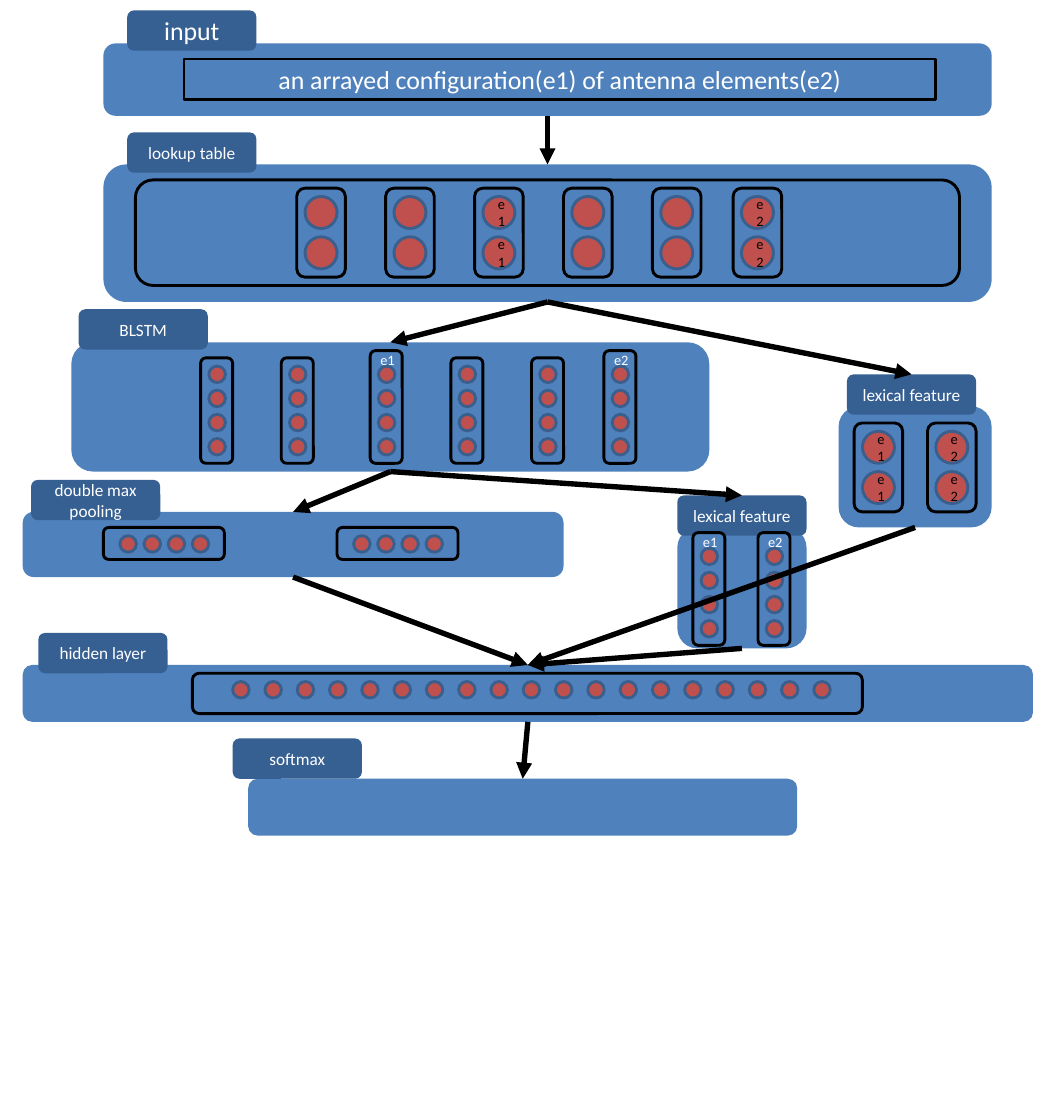
"""Build a slide showing a neural relation classifier from input to softmax."""
from dataclasses import dataclass
from typing import NamedTuple

from lxml.etree import SubElement
from pptx import Presentation
from pptx.dml.color import RGBColor
from pptx.enum.shapes import MSO_CONNECTOR, MSO_SHAPE
from pptx.enum.text import MSO_ANCHOR, MSO_AUTO_SIZE, PP_ALIGN
from pptx.oxml.ns import qn
from pptx.shapes.autoshape import Shape
from pptx.slide import Slide
from pptx.util import Inches, Pt

PANEL_BLUE, TAB_BLUE, DOT_RED, DOT_EDGE = "4F81BD", "376092", "C0504D", "3A5F8C"
BLACK, WHITE = "000000", "FFFFFF"
TAB_WIDTH, TAB_HEIGHT = 1.25, 0.39
BIG_DOT, SMALL_DOT = 0.31, 0.16
TOP, BOTTOM = 0, 2


class Area(NamedTuple):
    """Left, top, width and height in inches."""
    left: float
    top: float
    width: float
    height: float


@dataclass(frozen=True)
class Cell:
    """A framed run of evenly spaced dots from the first to the last position."""
    area: Area
    first: tuple[float, float] = (0, 0)
    last: tuple[float, float] = (0, 0)
    count: int = 0
    dot_size: float = SMALL_DOT
    dot_text: str = ""
    caption: str = ""


@dataclass(frozen=True)
class Panel:
    """A network layer with its name tab and its cells."""
    name: str
    area: Area
    label: str
    tab_left: float
    tab_top: float
    cells: tuple[Cell, ...] = ()
    label_size: int = 12


@dataclass(frozen=True)
class Flow:
    """An arrow from the bottom of a panel to the top of a panel or its tab."""
    source: str
    target: str
    to_tab: bool = False


def token(left: float, top: float, word: str = "") -> Cell:
    """Describe a word vector of two large dots."""
    dot_left, dot_top = left + 0.08, top + 0.08
    return Cell(Area(left, top, 0.47, 0.86), (dot_left, dot_top), (dot_left, dot_top + 0.39),
                2, BIG_DOT, dot_text=word)


def stack(left: float, dot_top: float, word: str = "") -> Cell:
    """Describe a column of four small dots, taller when it has a caption."""
    headroom = 0.15 if word else 0.08
    area = Area(left, dot_top - headroom, 0.31, headroom + 0.94)
    dot_left = left + 0.08
    return Cell(area, (dot_left, dot_top), (dot_left, dot_top + 0.7), 4, caption=word)


def pooled(left: float) -> Cell:
    """Describe a row of four small dots."""
    return Cell(Area(left, 5.1, 1.17, 0.31), (left + 0.16, 5.18), (left + 0.86, 5.18), 4)


LOOKUP_WORDS = ((2.87, ""), (3.73, ""), (4.59, "e1"), (5.45, ""), (6.31, ""), (7.09, "e2"))
BLSTM_WORDS = ((1.94, ""), (2.72, ""), (3.58, "e1"), (4.36, ""), (5.14, ""), (5.84, "e2"))

PANELS = (
    Panel("input", Area(1, 0.42, 8.59, 0.7), "input", 1.23, 0.1, label_size=18),
    Panel("lookup", Area(1, 1.59, 8.59, 1.33), "lookup table", 1.23, 1.28,
          (Cell(Area(1.31, 1.74, 7.97, 1.02)),
           *(token(left, 1.82, word) for left, word in LOOKUP_WORDS))),
    Panel("word lexical", Area(8.11, 3.93, 1.48, 1.17), "lexical feature", 8.19, 3.62,
          (token(8.26, 4.09, "e1"), token(8.97, 4.09, "e2"))),
    Panel("blstm", Area(0.69, 3.31, 6.17, 1.25), "BLSTM", 0.76, 2.99,
          tuple(stack(left, 3.54, word) for left, word in BLSTM_WORDS)),
    Panel("blstm lexical", Area(6.55, 5.1, 1.25, 1.17), "lexical feature", 6.55, 4.79,
          (stack(6.7, 5.3, "e1"), stack(7.33, 5.3, "e2"))),
    Panel("pooling", Area(0.22, 4.95, 5.23, 0.63), "double max pooling", 0.3, 4.64,
          (pooled(1), pooled(3.26))),
    Panel("hidden", Area(0.22, 6.43, 9.77, 0.55), "hidden layer", 0.37, 6.12,
          (Cell(Area(1.86, 6.51, 6.48, 0.39), (2.25, 6.59), (7.87, 6.59), 19),)),
    Panel("softmax", Area(2.4, 7.53, 5.31, 0.55), "softmax", 2.25, 7.14),
)

FLOWS = (
    Flow("input", "lookup"),
    Flow("lookup", "blstm"),
    Flow("lookup", "word lexical", to_tab=True),
    Flow("blstm", "blstm lexical", to_tab=True),
    Flow("blstm", "pooling"),
    Flow("pooling", "hidden"),
    Flow("blstm lexical", "hidden"),
    Flow("word lexical", "hidden"),
    Flow("hidden", "softmax"),
)


def color(value: str) -> RGBColor:
    """Turn a hex string into a colour."""
    return RGBColor.from_string(value)


def write(box: Shape, text: str, size: int, ink: str, align: PP_ALIGN) -> None:
    """Put one formatted line of text in a box."""
    box.text_frame.word_wrap = True
    para = box.text_frame.paragraphs[0]
    para.text = text
    para.alignment = align
    font = para.runs[0].font
    font.name, font.size = "Calibri", Pt(size)
    font.color.rgb = color(ink)


def add_box(page: Slide, kind: MSO_SHAPE, area: Area, fill: str, edge: str = "",
            text: str = "", size: int = 12, ink: str = WHITE) -> Shape:
    """Draw a filled shape, with an outline and centred text when given."""
    box = page.shapes.add_shape(kind, *map(Inches, area))
    box.shadow.inherit = False
    box.fill.solid()
    box.fill.fore_color.rgb = color(fill)
    if edge:
        box.line.color.rgb = color(edge)
        box.line.width = Pt(2)
    else:
        box.line.fill.background()
    if text:
        box.text_frame.vertical_anchor = MSO_ANCHOR.MIDDLE
        write(box, text, size, ink, PP_ALIGN.CENTER)
    return box


def add_cell(page: Slide, cell: Cell) -> None:
    """Draw a frame, its dots and its caption."""
    add_box(page, MSO_SHAPE.ROUNDED_RECTANGLE, cell.area, PANEL_BLUE, BLACK)
    for index in range(cell.count):
        share = index / (cell.count - 1)
        left, top = (start + share * (end - start) for start, end in zip(cell.first, cell.last))
        add_box(page, MSO_SHAPE.OVAL, Area(left, top, cell.dot_size, cell.dot_size),
                DOT_RED, DOT_EDGE, cell.dot_text, 10, BLACK)
    if cell.caption:
        area = Area(cell.area.left, cell.area.top - 0.04, 0.63, 0.27)
        caption = page.shapes.add_textbox(*map(Inches, area))
        write(caption, cell.caption, 10, WHITE, PP_ALIGN.LEFT)
        caption.text_frame.auto_size = MSO_AUTO_SIZE.SHAPE_TO_FIT_TEXT


def add_panel(page: Slide, panel: Panel) -> tuple[Shape, Shape]:
    """Draw a layer and return its body and tab."""
    body = add_box(page, MSO_SHAPE.ROUNDED_RECTANGLE, panel.area, PANEL_BLUE)
    tab_area = Area(panel.tab_left, panel.tab_top, TAB_WIDTH, TAB_HEIGHT)
    tab = add_box(page, MSO_SHAPE.ROUNDED_RECTANGLE, tab_area, TAB_BLUE,
                  text=panel.label, size=panel.label_size)
    for cell in panel.cells:
        add_cell(page, cell)
    return body, tab


def add_arrow(page: Slide, source: Shape, target: Shape) -> None:
    """Join the bottom of one shape to the top of another with an arrow."""
    arrow = page.shapes.add_connector(MSO_CONNECTOR.STRAIGHT, 0, 0, 0, 0)
    arrow.begin_connect(source, BOTTOM)
    arrow.end_connect(target, TOP)
    arrow.line.color.rgb = color(BLACK)
    arrow.line.width = Pt(3.75)
    SubElement(arrow.line._get_or_add_ln(), qn("a:tailEnd"), type="triangle")
    SubElement(arrow._element.spPr, qn("a:effectLst"))


def main() -> None:
    """Build and save the deck."""
    deck = Presentation()
    deck.slide_width, deck.slide_height = Inches(10.28), Inches(10.83)
    page = deck.slides.add_slide(deck.slide_layouts[6])
    drawn = {panel.name: add_panel(page, panel) for panel in PANELS}
    add_box(page, MSO_SHAPE.RECTANGLE, Area(1.78, 0.57, 7.27, 0.39), PANEL_BLUE, BLACK,
            "an arrayed configuration(e1) of antenna elements(e2)", 18)
    for flow in FLOWS:
        body, tab = drawn[flow.target]
        add_arrow(page, drawn[flow.source][0], tab if flow.to_tab else body)
    deck.save("out.pptx")


if __name__ == "__main__":
    main()
